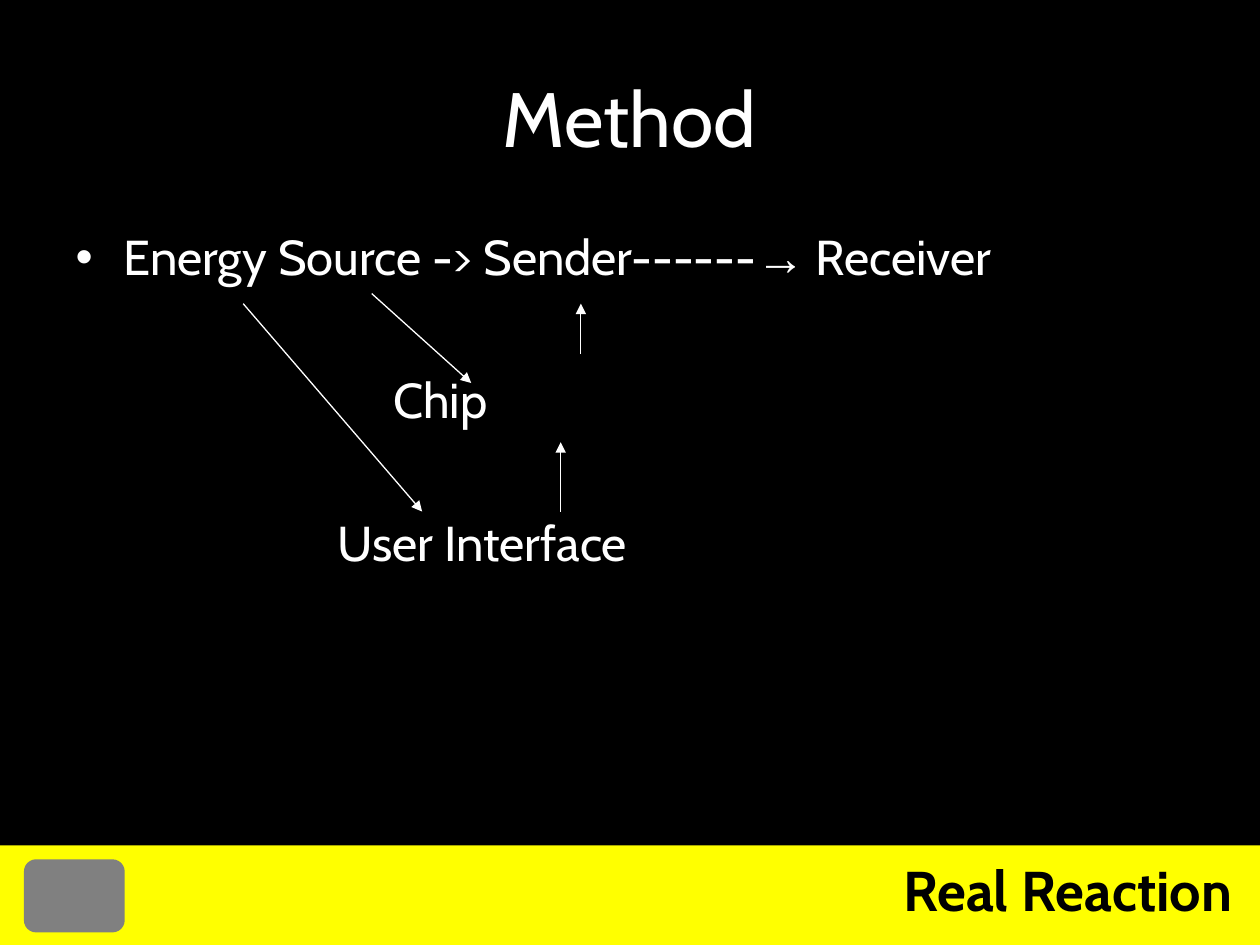
from lxml.etree import SubElement
from pptx import Presentation
from pptx.dml.color import RGBColor
from pptx.enum.shapes import MSO_CONNECTOR as CONNECTOR, MSO_SHAPE as SHAPE
from pptx.enum.text import MSO_ANCHOR as ANCHOR, MSO_AUTO_SIZE as AUTO_SIZE, PP_ALIGN as ALIGN
from pptx.oxml.ns import qn
from pptx.util import Inches, Pt


def rgb(value):
    return RGBColor.from_string(value)


class MethodSlide:
    font = "Cabin"
    ink, ground, band, grey = "FFFFFF", "000000", "FFFF00", "808080"

    def __init__(self, deck):
        self.slide = deck.slides.add_slide(deck.slide_layouts[1])
        background = self.slide.background.fill
        background.solid()
        background.fore_color.rgb = rgb(self.ground)

    def style(self, run, size, color, bold=False, font=None):
        run.font.name = font or self.font
        run.font.size = Pt(size)
        run.font.bold = bold
        run.font.color.rgb = rgb(color)

    def place(self, shape, box):
        shape.left, shape.top, shape.width, shape.height = map(Inches, box)
        shape.text_frame.auto_size = AUTO_SIZE.NONE
        shape.text_frame.word_wrap = True

    def block(self, kind, box, color):
        shape = self.slide.shapes.add_shape(kind, *map(Inches, box))
        shape.shadow.inherit = False
        shape.fill.solid()
        shape.fill.fore_color.rgb = rgb(color)
        shape.line.fill.background()

    def label(self, text, box, size, color):
        label = self.slide.shapes.add_textbox(*map(Inches, box))
        label.text_frame.word_wrap = True
        paragraph = label.text_frame.paragraphs[0]
        paragraph.text = text
        paragraph.alignment = ALIGN.RIGHT
        self.style(paragraph.runs[0], size, color, bold=True)

    def title(self, text, box):
        title = self.slide.shapes.title
        self.place(title, box)
        title.text_frame.text = text
        title.text_frame.vertical_anchor = ANCHOR.MIDDLE
        paragraph = title.text_frame.paragraphs[0]
        paragraph.alignment = ALIGN.CENTER
        self.style(paragraph.runs[0], 44, self.ink)

    def body(self, chain, steps, box):
        """Write a bulleted chain of (text, font) runs, then indented (text, indent) steps."""
        body = self.slide.placeholders[1]
        self.place(body, box)
        first = body.text_frame.paragraphs[0]
        self.bullet(first, "•", 0.38, -0.38)
        first.space_before = Pt(0)
        for text, font in chain:
            run = first.add_run()
            run.text = text
            self.style(run, 28, self.ink, font=font)
        for text, indent in steps:
            paragraph = body.text_frame.add_paragraph()
            paragraph.text = text
            self.bullet(paragraph, None, indent, 0)
            paragraph.space_before = Pt(47.9)
            self.style(paragraph.runs[0], 28, self.ink)

    def bullet(self, paragraph, char, margin, indent):
        properties = paragraph._p.get_or_add_pPr()
        properties.set("marL", str(Inches(margin)))
        properties.set("indent", str(Inches(indent)))
        if char:
            SubElement(properties, qn("a:buChar")).set("char", char)
        else:
            SubElement(properties, qn("a:buNone"))

    def arrow(self, start, end):
        arrow = self.slide.shapes.add_connector(
            CONNECTOR.STRAIGHT, *map(Inches, (*start, *end)))
        arrow.line.color.rgb = rgb(self.ink)
        arrow.line.width = Pt(0.75)
        SubElement(arrow.line._get_or_add_ln(), qn("a:tailEnd")).set("type", "triangle")
        SubElement(arrow._element.spPr, qn("a:effectLst"))


def main():
    deck = Presentation()
    deck.slide_width, deck.slide_height = Inches(10), Inches(7.5)
    method = MethodSlide(deck)

    method.block(SHAPE.RECTANGLE, (0, 6.71, 10, 0.79), method.band)
    method.block(SHAPE.ROUNDED_RECTANGLE, (0.19, 6.82, 0.8, 0.58), method.grey)
    method.label("Real Reaction", (5, 6.74, 4.88, 0.64), 32, method.ground)

    method.title("Method", (0.5, 0.3, 9, 1.25))
    method.body(
        [("Energy Source -> Sender------", None), ("→", "Arial"), (" Receiver", None)],
        [("Chip", 2.52), ("User Interface", 2.08)],
        (0.5, 1.75, 9.78, 4.95))

    source_to_chip = (2.95, 2.33), (3.74, 3.04)
    source_to_interface = (1.93, 2.41), (3.35, 4.06)
    interface_to_chip = (4.45, 4.06), (4.45, 3.51)
    chip_to_sender = (4.61, 2.81), (4.61, 2.41)
    for start, end in (source_to_chip, source_to_interface, interface_to_chip, chip_to_sender):
        method.arrow(start, end)

    deck.save("out.pptx")


if __name__ == "__main__":
    main()
